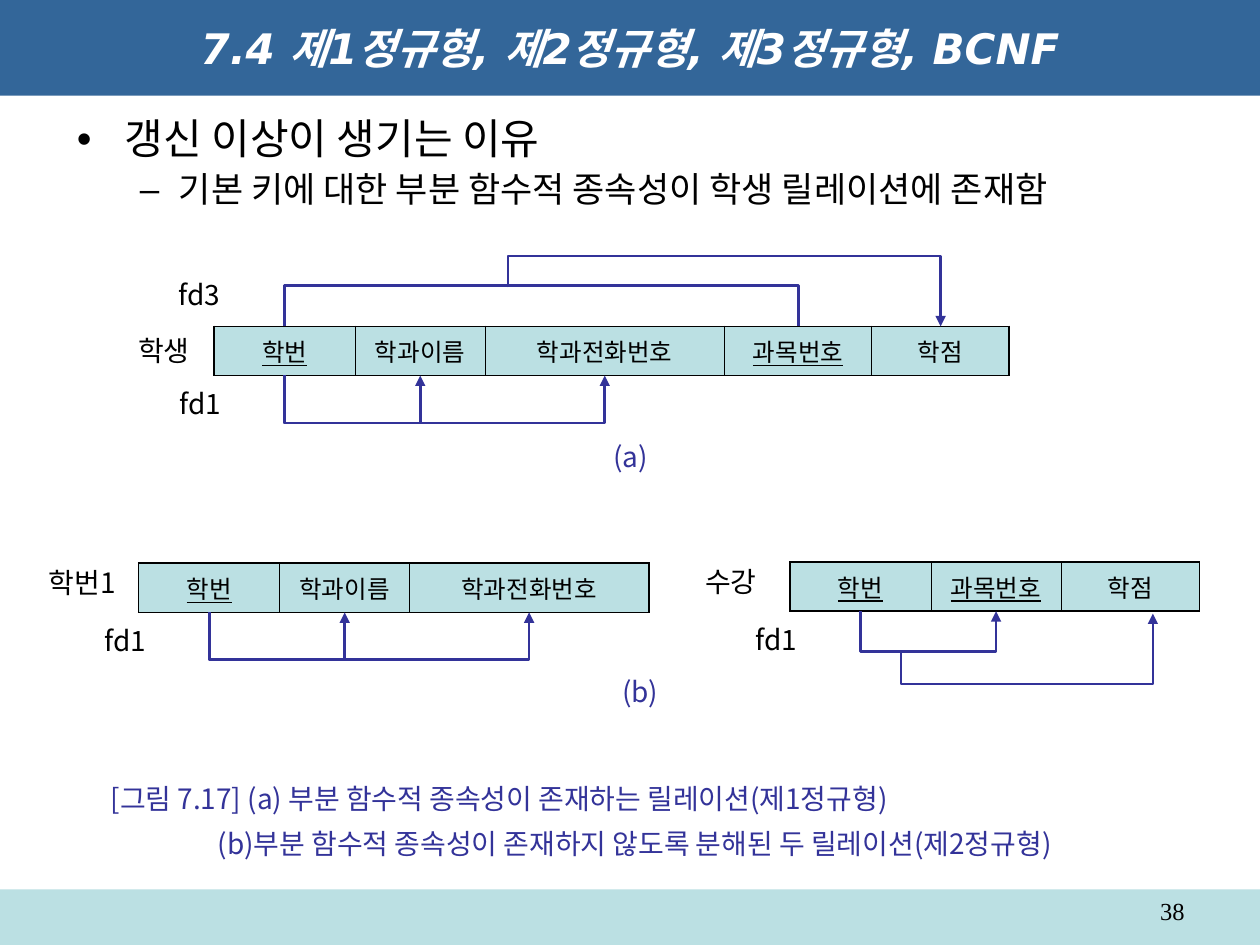
"""Build the slide on normal forms with its dependency diagrams."""
from dataclasses import dataclass

import lxml.etree
import pptx
import pptx.dml.color
import pptx.enum.shapes
import pptx.enum.text
import pptx.oxml.ns
import pptx.util

qn = pptx.oxml.ns.qn
Align = pptx.enum.text.PP_ALIGN
Anchor = pptx.enum.text.MSO_ANCHOR


@dataclass(frozen=True)
class Theme:
    """Colours, fonts and sizes in points."""
    banner: str = "336699"
    pale: str = "BBE0E3"
    accent: str = "333399"
    ink: str = "000000"
    white: str = "FFFFFF"
    title_font: str = "DejaVu Sans"
    body_font: str = "Arial"
    label_font: str = "Noto Sans CJK JP"
    caption_font: str = "Noto Sans CJK KR"
    number_font: str = "Times New Roman"
    heading: int = 24
    detail: int = 20
    label: int = 16
    cell: int = 14
    outer_line: float = 1.08
    inner_line: float = 0.45
    arrow_line: float = 1.5


@dataclass(frozen=True)
class Column:
    """One attribute of a relation, its width in grid columns."""
    name: str
    width: float
    key: bool = False


@dataclass(frozen=True)
class Relation:
    """A one-row table placed on the grid."""
    left: float
    top: float
    columns: tuple[Column, ...]
    height: float = 3.9

    @property
    def bottom(self) -> float:
        return self.top + self.height

    def centre(self, index: int) -> float:
        before = sum(column.width for column in self.columns[:index])
        return self.left + before + self.columns[index].width / 2


@dataclass(frozen=True)
class Dependency:
    """An elbow from one point to another by way of a level."""
    start: tuple[float, float]
    end: tuple[float, float]
    level: float
    arrow: bool = True


@dataclass(frozen=True)
class Label:
    """A short text on the grid."""
    text: str
    left: float
    top: float
    width: float
    accent: bool = False


THEME = Theme()
GRID_COLUMNS, GRID_ROWS = 100, 75
UNIT = pptx.util.Inches(10) / GRID_COLUMNS
FLAT = 0.025

NUMBER = Column("학번", 11.2, True)
DEPARTMENT = Column("학과이름", 10.3)
PHONE = Column("학과전화번호", 19)
STUDENT = Relation(17, 25.9, (NUMBER, DEPARTMENT, PHONE,
                              Column("과목번호", 11.7, True), Column("학점", 10.9)))
STUDENT_1 = Relation(11, 44.7, (NUMBER, DEPARTMENT, PHONE))
ENROLMENT = Relation(62.7, 44.6, (NUMBER, Column("과목번호", 10.3, True), Column("학점", 11)))

LABELS = (
    Label("학생", 10, 26, 6.3),
    Label("fd1", 13.3, 30.2, 5.4),
    Label("fd3", 13.2, 21.5, 5.4),
    Label("학번1", 2.9, 44.4, 8.1),
    Label("fd1", 7.3, 49, 5.4),
    Label("수강", 55, 44.3, 6.3),
    Label("fd1", 59, 48.9, 5.4),
    Label("(a)", 47.7, 34.4, 4.8, True),
    Label("(b)", 48.4, 53, 4.9, True),
)
CAPTION = ("[그림 7.17] (a) 부분 함수적 종속성이 존재하는 릴레이션(제1정규형)",
           "(b)부분 함수적 종속성이 존재하지 않도록 분해된 두 릴레이션(제2정규형)")


def grid(count: float) -> pptx.util.Emu:
    return pptx.util.Emu(round(count * UNIT))


def area(*counts: float) -> tuple:
    return tuple(grid(count) for count in counts)


def rgb(colour: str) -> pptx.dml.color.RGBColor:
    return pptx.dml.color.RGBColor.from_string(colour)


def style(para, font: str, size: float, colour: str, **flags: bool) -> None:
    for span in para.runs:
        span.font.name = font
        span.font.size = pptx.util.Pt(size)
        span.font.color.rgb = rgb(colour)
        for flag, value in flags.items():
            setattr(span.font, flag, value)


def place(box, left: float, top: float, width: float, height: float) -> None:
    box.left, box.top, box.width, box.height = area(left, top, width, height)


def indent(para, margin: float, first: float = 0) -> None:
    properties = para._p.get_or_add_pPr()
    properties.set("marL", str(grid(margin)))
    properties.set("indent", str(grid(first)))


def fill(shape, colour: str) -> None:
    shape.fill.solid()
    shape.fill.fore_color.rgb = rgb(colour)


def outline(cell, edge: str, width: float) -> None:
    line = lxml.etree.SubElement(cell._tc.get_or_add_tcPr(), qn(f"a:{edge}"),
                                 w=str(pptx.util.Pt(width)))
    solid = lxml.etree.SubElement(line, qn("a:solidFill"))
    lxml.etree.SubElement(solid, qn("a:srgbClr"), val=THEME.ink)


def draw_relation(page, relation: Relation) -> None:
    columns = relation.columns
    width = sum(column.width for column in columns)
    table = page.shapes.add_table(1, len(columns), *area(
        relation.left, relation.top, width, relation.height)).table
    table.first_row = table.horz_banding = False
    last = len(columns) - 1
    for index, column in enumerate(columns):
        table.columns[index].width = grid(column.width)
        cell = table.cell(0, index)
        cell.text_frame.text = column.name
        cell.vertical_anchor = Anchor.MIDDLE
        para = cell.text_frame.paragraphs[0]
        para.alignment = Align.CENTER
        style(para, THEME.body_font, THEME.cell, THEME.ink, underline=column.key)
        outline(cell, "lnL", THEME.inner_line if index else THEME.outer_line)
        outline(cell, "lnR", THEME.inner_line if index < last else THEME.outer_line)
        outline(cell, "lnT", THEME.outer_line)
        outline(cell, "lnB", THEME.outer_line)
        fill(cell, THEME.pale)


def draw_dependency(page, dependency: Dependency) -> None:
    (left, start), (right, end) = dependency.start, dependency.end
    drop, half = max(abs(end - start), FLAT) / 2, (right - left) / 2
    middle, centre = (left + right) / 2, (start + end) / 2
    rising = end < start
    turn = -1 if rising else 1
    elbow = page.shapes.add_connector(
        pptx.enum.shapes.MSO_CONNECTOR.ELBOW,
        *area(middle + drop, centre - turn * half, middle - drop, centre + turn * half))
    properties = elbow._element.spPr
    properties.find(qn("a:xfrm")).set("rot", str((90 if rising else 270) * 60000))
    share = turn * (dependency.level - start) / (2 * drop)
    guides = properties.find(qn("a:prstGeom")).find(qn("a:avLst"))
    lxml.etree.SubElement(guides, qn("a:gd"), name="adj1", fmla=f"val {round(share * 100000)}")
    elbow.line.color.rgb = rgb(THEME.accent)
    elbow.line.width = pptx.util.Pt(THEME.arrow_line)
    if dependency.arrow:
        lxml.etree.SubElement(properties.find(qn("a:ln")), qn("a:tailEnd"), type="triangle")
    lxml.etree.SubElement(properties, qn("a:effectLst"))


def draw_label(page, label: Label) -> None:
    frame = page.shapes.add_textbox(*area(label.left, label.top, label.width, 3.7)).text_frame
    frame.text = label.text
    frame.word_wrap = False
    frame.vertical_anchor = Anchor.MIDDLE if label.accent else Anchor.TOP
    font = THEME.caption_font if label.accent else THEME.label_font
    style(frame.paragraphs[0], font, THEME.label, THEME.accent if label.accent else THEME.ink)


def draw_text(page) -> None:
    title, body = page.placeholders
    place(title, 0, 0, GRID_COLUMNS, 7.6)
    fill(title, THEME.banner)
    title.text_frame.text = "7.4 제1정규형, 제2정규형, 제3정규형, BCNF"
    title.text_frame.vertical_anchor = Anchor.MIDDLE
    style(title.text_frame.paragraphs[0], THEME.title_font, THEME.heading, THEME.white,
          bold=True, italic=True)

    place(body, 5.1, 8.9, 90, 59.5)
    frame = body.text_frame
    frame.text = "갱신 이상이 생기는 이유\n기본 키에 대한 부분 함수적 종속성이 학생 릴레이션에 존재함"
    frame.auto_size = pptx.enum.text.MSO_AUTO_SIZE.NONE
    heading, detail = frame.paragraphs
    detail.level = 1
    for para, margin, first, size, space in ((heading, 3.8, -3.8, THEME.heading, 0),
                                             (detail, 8.1, -3.1, THEME.detail, 5)):
        indent(para, margin, first)
        para.line_spacing = 0.9
        para.space_before = pptx.util.Pt(space)
        style(para, THEME.body_font, size, THEME.ink)

    frame = page.shapes.add_textbox(*area(7.8, 61.3, 85.4, 7.7)).text_frame
    frame.text = "\n".join(CAPTION)
    frame.word_wrap = True
    frame.vertical_anchor = Anchor.MIDDLE
    for para in frame.paragraphs:
        style(para, THEME.caption_font, THEME.label, THEME.accent)
    indent(para, 8.5)
    para.space_before = pptx.util.Pt(6)


def draw_footer(page) -> None:
    bar = page.shapes.add_shape(pptx.enum.shapes.MSO_SHAPE.RECTANGLE,
                                *area(0, 70.6, GRID_COLUMNS, 4.4))
    bar.shadow.inherit = False
    fill(bar, THEME.pale)
    bar.line.fill.background()
    frame = page.shapes.add_textbox(*area(71.7, 70.6, 23.3, 2.9)).text_frame
    frame.text = "38"
    frame.word_wrap = True
    frame.paragraphs[0].alignment = Align.RIGHT
    style(frame.paragraphs[0], THEME.number_font, THEME.cell, THEME.ink)


def below(relation: Relation, target: int, depth: float) -> Dependency:
    return Dependency((relation.centre(0), relation.bottom),
                      (relation.centre(target), relation.bottom), relation.bottom + depth)


def main() -> None:
    deck = pptx.Presentation()
    deck.slide_width, deck.slide_height = area(GRID_COLUMNS, GRID_ROWS)
    page = deck.slides.add_slide(deck.slide_layouts[1])
    draw_footer(page)
    draw_text(page)
    for relation in (STUDENT, STUDENT_1, ENROLMENT):
        draw_relation(page, relation)
    dependencies = [below(relation, target, 4)
                    for relation in (STUDENT, STUDENT_1) for target in (1, 2)]
    dependencies += [
        below(ENROLMENT, 1, 3.4),
        Dependency((71.5, 51.8), (91.5, 48.7), 54.3),
        Dependency((40.3, 22.8), (STUDENT.centre(4), STUDENT.top), 20.3),
        Dependency((STUDENT.centre(0), STUDENT.top), (STUDENT.centre(3), STUDENT.top),
                   22.5, arrow=False),
    ]
    for dependency in dependencies:
        draw_dependency(page, dependency)
    for label in LABELS:
        draw_label(page, label)
    deck.save("out.pptx")


if __name__ == "__main__":
    main()
